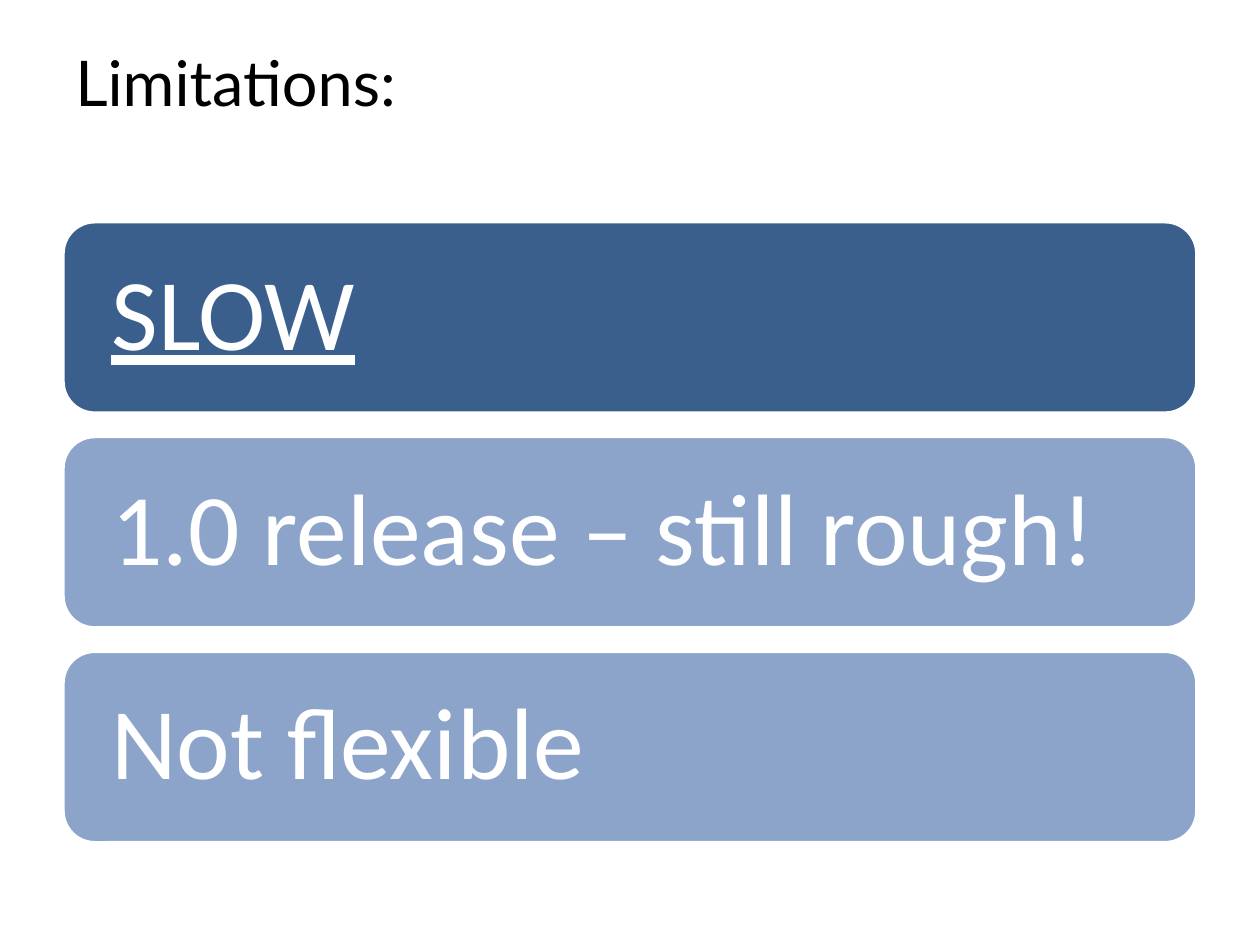
from dataclasses import dataclass

from pptx import Presentation
from pptx.dml.color import RGBColor
from pptx.enum.shapes import MSO_SHAPE
from pptx.enum.text import MSO_ANCHOR, PP_ALIGN
from pptx.util import Cm, Pt

ROUNDED = MSO_SHAPE.ROUNDED_RECTANGLE
TOP, MIDDLE = MSO_ANCHOR.TOP, MSO_ANCHOR.MIDDLE
LEFT = PP_ALIGN.LEFT
BLANK_LAYOUT = 6


@dataclass(frozen=True)
class Theme:
    """Colours, fonts and type sizes of the slide."""

    ink: RGBColor = RGBColor.from_string("000000")
    paper: RGBColor = RGBColor.from_string("FFFFFF")
    strong: RGBColor = RGBColor.from_string("3A5F8C")
    soft: RGBColor = RGBColor.from_string("8CA4C9")
    heading_font: str = "Lato"
    body_font: str = "Calibri"
    heading_size: Pt = Pt(36)
    body_size: Pt = Pt(58)
    outline: Pt = Pt(2)


THEME = Theme()
MARGIN, CONTENT_WIDTH = Cm(1.27), Cm(22.86)
BAR_TOP, BAR_HEIGHT, BAR_PITCH = Cm(4.47), Cm(3.86), Cm(4.33)
BAR_INSET = Cm(0.79)
LIMITATIONS = (
    ("SLOW", THEME.strong, True),
    ("1.0 release – still rough!", THEME.soft, False),
    ("Not flexible", THEME.soft, False),
)


def apply_format(target, values):
    """Set each named attribute on the target."""
    for name, value in values.items():
        setattr(target, name, value)


def write_text(frame, wording, color, frame_format, paragraph_format, font_format):
    """Fill a text frame with one formatted paragraph."""
    apply_format(frame, {"word_wrap": True, **frame_format})
    paragraph = frame.paragraphs[0]
    apply_format(paragraph, {"alignment": LEFT, **paragraph_format})
    run = paragraph.add_run()
    run.text = wording
    apply_format(run.font, font_format)
    run.font.color.rgb = color


def add_heading(slide, wording):
    """Place the heading at the top of the slide."""
    heading = slide.shapes.add_textbox(MARGIN, Cm(0.76), CONTENT_WIDTH, Cm(3.18))
    write_text(
        heading.text_frame, wording, THEME.ink,
        {"vertical_anchor": TOP}, {},
        {"name": THEME.heading_font, "size": THEME.heading_size},
    )


def add_limitation(slide, top, wording, color, underlined):
    """Place one rounded bar that states a limitation."""
    bar = slide.shapes.add_shape(ROUNDED, MARGIN, top, CONTENT_WIDTH, BAR_HEIGHT)
    bar.shadow.inherit = False
    bar.fill.solid()
    bar.fill.fore_color.rgb = color
    bar.line.color.rgb = THEME.paper
    bar.line.width = THEME.outline
    write_text(
        bar.text_frame, wording, THEME.paper,
        {"vertical_anchor": MIDDLE, "margin_left": BAR_INSET, "margin_right": BAR_INSET},
        {"line_spacing": 0.9},
        {"name": THEME.body_font, "size": THEME.body_size, "underline": underlined},
    )


def main():
    """Build and save the limitations slide."""
    deck = Presentation()
    apply_format(deck, {"slide_width": Cm(25.4), "slide_height": Cm(19.05)})
    slide = deck.slides.add_slide(deck.slide_layouts[BLANK_LAYOUT])
    add_heading(slide, "Limitations:")
    for index, limitation in enumerate(LIMITATIONS):
        add_limitation(slide, BAR_TOP + index * BAR_PITCH, *limitation)
    deck.save("out.pptx")


main()
